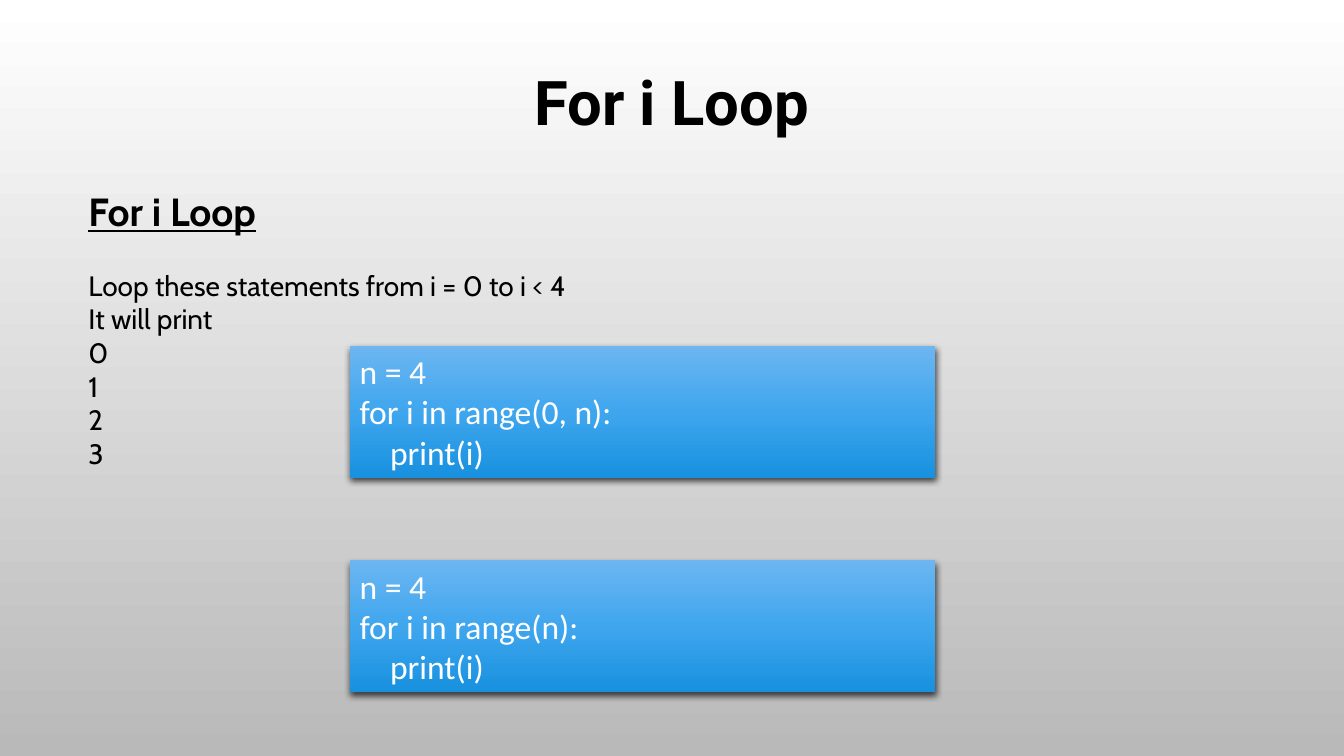
from lxml import etree
from pptx import Presentation
from pptx.dml.color import RGBColor
from pptx.enum import shapes, text
from pptx.oxml import ns
from pptx.util import Pt

COLORS = {
    "white": "FFFFFF", "black": "000000", "gray": "B9B9B9",
    "light_blue": "6CB6F1", "blue": "3FA6EE", "deep_blue": "1891DF",
}


def paint_gradient(fill, element, names):
    fill.gradient()
    fill.gradient_angle = 270
    stops = element.find(".//" + ns.qn("a:gsLst"))
    for stop in list(stops):
        stops.remove(stop)
    for index, name in enumerate(names):
        position = str(index * 100000 // (len(names) - 1))
        stop = etree.SubElement(stops, ns.qn("a:gs"), pos=position)
        etree.SubElement(stop, ns.qn("a:srgbClr"), val=COLORS[name])


def write_line(frame, index, wording, color, para_format, font_format):
    para = frame.paragraphs[0] if index == 0 else frame.add_paragraph()
    span = para.add_run()
    span.text = wording
    for key, value in para_format.items():
        setattr(para, key, value)
    for key, value in font_format.items():
        setattr(span.font, key, value)
    span.font.color.rgb = RGBColor.from_string(COLORS[color])
    return para, span


deck = Presentation()
deck.slide_width, deck.slide_height = Pt(960), Pt(540)
page = deck.slides.add_slide(deck.slide_layouts[1])
paint_gradient(page.background.fill, page.background._cSld, ["white", "gray"])

title, body = page.placeholders
for holder, bounds, anchor in (
    (title, (66, 0, 828, 101.5), text.MSO_ANCHOR.BOTTOM),
    (body, (56, 130.3, 848, 303), text.MSO_ANCHOR.TOP),
):
    holder.left, holder.top, holder.width, holder.height = map(Pt, bounds)
    holder.text_frame.vertical_anchor = anchor
    holder.text_frame.auto_size = text.MSO_AUTO_SIZE.NONE

para, span = write_line(
    title.text_frame, 0, "For i Loop", "black",
    {"alignment": text.PP_ALIGN.CENTER, "line_spacing": 0.8, "space_before": Pt(10)},
    {"name": "Roboto", "size": Pt(44), "bold": True},
)
outline = etree.Element(ns.qn("a:ln"), w=str(Pt(0.75)))
outline_fill = etree.SubElement(outline, ns.qn("a:solidFill"))
etree.SubElement(outline_fill, ns.qn("a:srgbClr"), val=COLORS["white"])
span.font._element.insert(0, outline)

heading = {"name": "Cabin", "size": Pt(28), "bold": True, "underline": True}
plain = {"name": "Cabin", "size": Pt(20)}
lines = ["For i Loop", "Loop these statements from i = 0 to i < 4", "It will print"]
lines += [str(number) for number in range(4)]
for index, wording in enumerate(lines):
    para, span = write_line(
        body.text_frame, index, wording, "black",
        {"space_before": Pt(24 if index == 1 else 0)},
        heading if index == 0 else plain,
    )
    properties = para._p.get_or_add_pPr()
    properties.set("marL", "0")
    properties.set("indent", "0")
    etree.SubElement(properties, ns.qn("a:buNone"))

for top, arguments in ((247, "0, n"), (400.3, "n")):
    box = page.shapes.add_shape(
        shapes.MSO_SHAPE.RECTANGLE, Pt(249.8), Pt(top), Pt(418.3), Pt(94.3)
    )
    paint_gradient(box.fill, box._element.spPr, ["light_blue", "blue", "deep_blue"])
    box.line.fill.background()
    box.shadow.inherit = False
    shadow = etree.SubElement(
        box._element.spPr.find(ns.qn("a:effectLst")), ns.qn("a:outerShdw"),
        blurRad=str(Pt(5)), dist=str(Pt(2)), dir="5400000", rotWithShape="0",
    )
    shade = etree.SubElement(shadow, ns.qn("a:srgbClr"), val=COLORS["black"])
    etree.SubElement(shade, ns.qn("a:alpha"), val="69000")
    frame = box.text_frame
    frame.word_wrap = True
    frame.vertical_anchor = text.MSO_ANCHOR.TOP
    frame.auto_size = text.MSO_AUTO_SIZE.SHAPE_TO_FIT_TEXT
    code = ["n = 4", f"for i in range({arguments}):", "print(i)"]
    for index, wording in enumerate(code):
        para, span = write_line(
            frame, index, wording, "white",
            {"alignment": text.PP_ALIGN.LEFT},
            {"name": "Calibri", "size": Pt(24)},
        )
    para._p.get_or_add_pPr().set("marL", str(Pt(21.7)))

deck.save("out.pptx")
